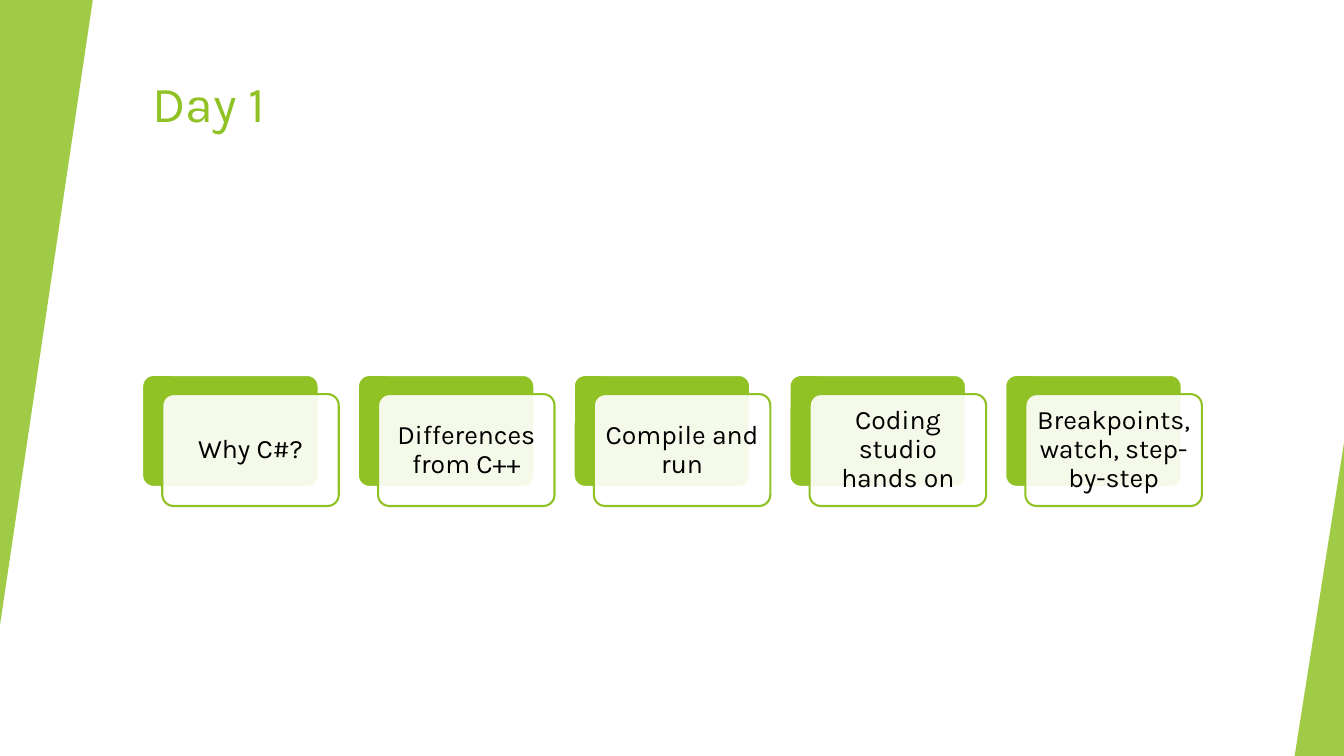
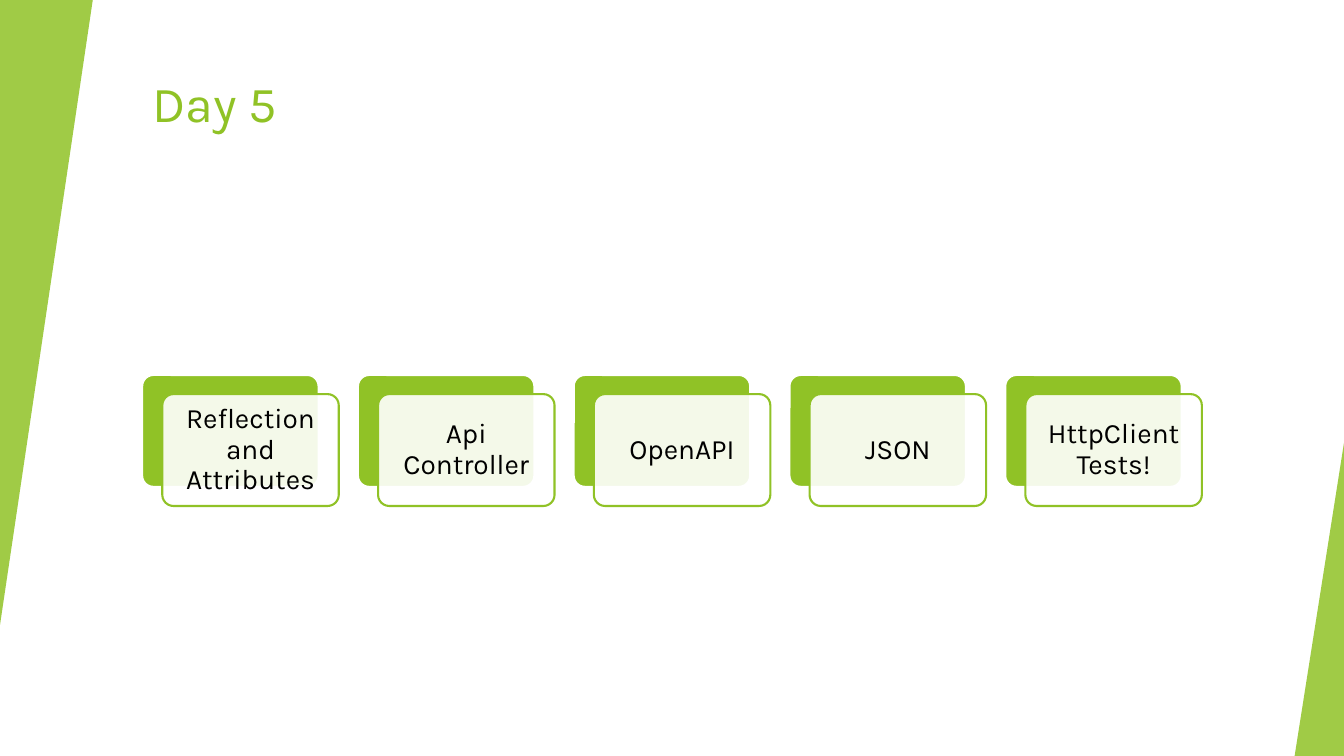
from dataclasses import dataclass
from typing import Optional

from lxml import etree
from pptx import Presentation
from pptx.dml.color import RGBColor
from pptx.enum.shapes import MSO_SHAPE
from pptx.enum.text import MSO_ANCHOR, MSO_AUTO_SIZE, PP_ALIGN
from pptx.oxml.ns import qn
from pptx.util import Inches, Pt

ROUNDED = MSO_SHAPE.ROUNDED_RECTANGLE
TRIANGLE = MSO_SHAPE.ISOSCELES_TRIANGLE
TOP, MIDDLE = MSO_ANCHOR.TOP, MSO_ANCHOR.MIDDLE
LEFT, CENTER = PP_ALIGN.LEFT, PP_ALIGN.CENTER
NO_AUTOFIT = MSO_AUTO_SIZE.NONE
TITLE_ONLY = 5


@dataclass(frozen=True)
class Theme:
    font: str = "Karla"
    green: RGBColor = RGBColor(0x90, 0xC2, 0x26)
    white: RGBColor = RGBColor(0xFF, 0xFF, 0xFF)
    black: RGBColor = RGBColor(0x00, 0x00, 0x00)
    title_size: int = 36
    line_width: float = 1.5
    band_opacity: int = 85
    card_opacity: int = 90


@dataclass(frozen=True)
class Box:
    left: float
    top: float
    width: float
    height: float

    def moved(self, dx: float, dy: float = 0) -> "Box":
        return Box(self.left + dx, self.top + dy, self.width, self.height)

    def emu(self) -> tuple:
        return tuple(Inches(v) for v in (self.left, self.top, self.width, self.height))


@dataclass(frozen=True)
class Band:
    box: Box
    rotation: int


@dataclass(frozen=True)
class Day:
    title: str
    topics: tuple
    text_size: int


THEME = Theme()
TITLE_BOX = Box(1.41, 0.67, 11.15, 1.2)
FIRST_CARD = Box(1.41, 3.72, 1.75, 1.11)
CARD_PITCH = 2.14
FRONT_OFFSET = (0.2, 0.19)

BANDS = (
    Band(Box(0, 0, 0.92, 6.2), 180),
    Band(Box(12.84, 4.39, 0.49, 3.11), 0),
)

DAYS = (
    Day("Day 1", ("Why C#?", "Differences from C++", "Compile and run",
                  "Coding studio hands on", "Breakpoints, watch, step-by-step"), 19),
    Day("Day 5", ("Reflection and Attributes", "Api Controller", "OpenAPI",
                  "JSON", "HttpClient Tests!"), 20),
)


def add_panel(s, kind, box: Box, adjust: float, fill: RGBColor,
              line: Optional[RGBColor] = None, opacity: int = 100):
    sp = s.shapes.add_shape(kind, *box.emu())
    sp.shadow.inherit = False
    sp.adjustments[0] = adjust
    sp.fill.solid()
    sp.fill.fore_color.rgb = fill
    if opacity < 100:
        color = sp.element.spPr.find(qn("a:solidFill"))[0]
        etree.SubElement(color, qn("a:alpha"), val=str(opacity * 1000))
    if line is None:
        sp.line.fill.background()
    else:
        sp.line.color.rgb = line
        sp.line.width = Pt(THEME.line_width)
    return sp


def write(tf, text: str, size: int, color: RGBColor, align, anchor) -> None:
    tf.word_wrap = True
    tf.auto_size = NO_AUTOFIT
    tf.vertical_anchor = anchor
    tf.text = text
    p = tf.paragraphs[0]
    p.alignment = align
    r = p.runs[0]
    r.font.name = THEME.font
    r.font.size = Pt(size)
    r.font.color.rgb = color


def add_title(s, text: str) -> None:
    sp = s.shapes.title
    sp.left, sp.top, sp.width, sp.height = TITLE_BOX.emu()
    write(sp.text_frame, text, THEME.title_size, THEME.green, LEFT, TOP)


def add_bands(s) -> None:
    for band in BANDS:
        sp = add_panel(s, TRIANGLE, band.box, 1, THEME.green, opacity=THEME.band_opacity)
        sp.rotation = band.rotation


def add_card(s, box: Box, text: str, size: int) -> None:
    add_panel(s, ROUNDED, box, 0.1, THEME.green, THEME.white)
    front = add_panel(s, ROUNDED, box.moved(*FRONT_OFFSET), 0.1, THEME.white,
                      THEME.green, THEME.card_opacity)
    tf = front.text_frame
    tf.margin_left = tf.margin_right = Inches(0.07)
    tf.margin_top = tf.margin_bottom = Inches(0.08)
    write(tf, text, size, THEME.black, CENTER, MIDDLE)
    tf.paragraphs[0].line_spacing = 0.9


def add_day(prs, day: Day) -> None:
    s = prs.slides.add_slide(prs.slide_layouts[TITLE_ONLY])
    add_title(s, day.title)
    add_bands(s)
    for i, topic in enumerate(day.topics):
        add_card(s, FIRST_CARD.moved(i * CARD_PITCH), topic, day.text_size)


def main() -> None:
    prs = Presentation()
    prs.slide_width, prs.slide_height = Inches(13.33), Inches(7.5)
    for day in DAYS:
        add_day(prs, day)
    prs.save("out.pptx")


if __name__ == "__main__":
    main()
